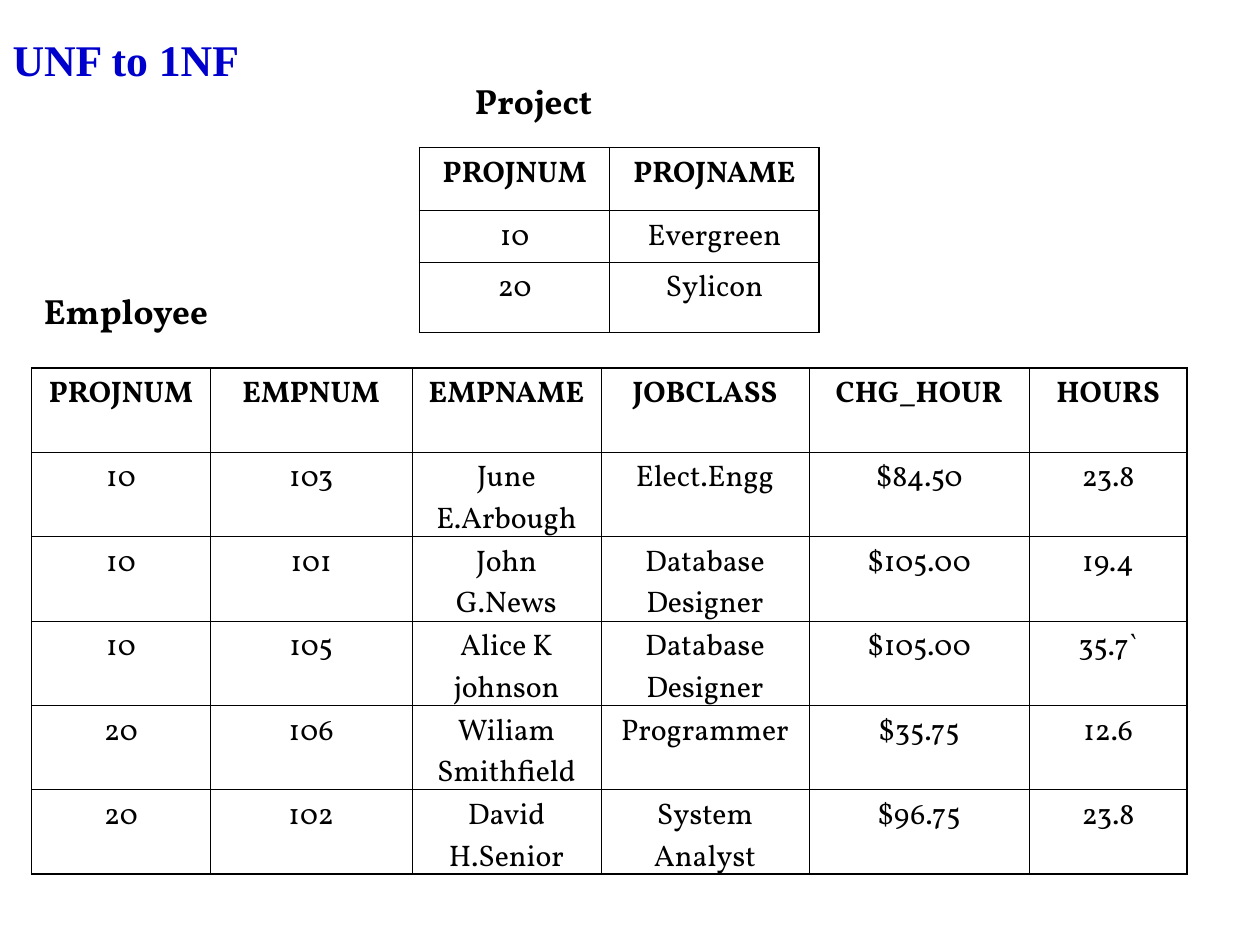
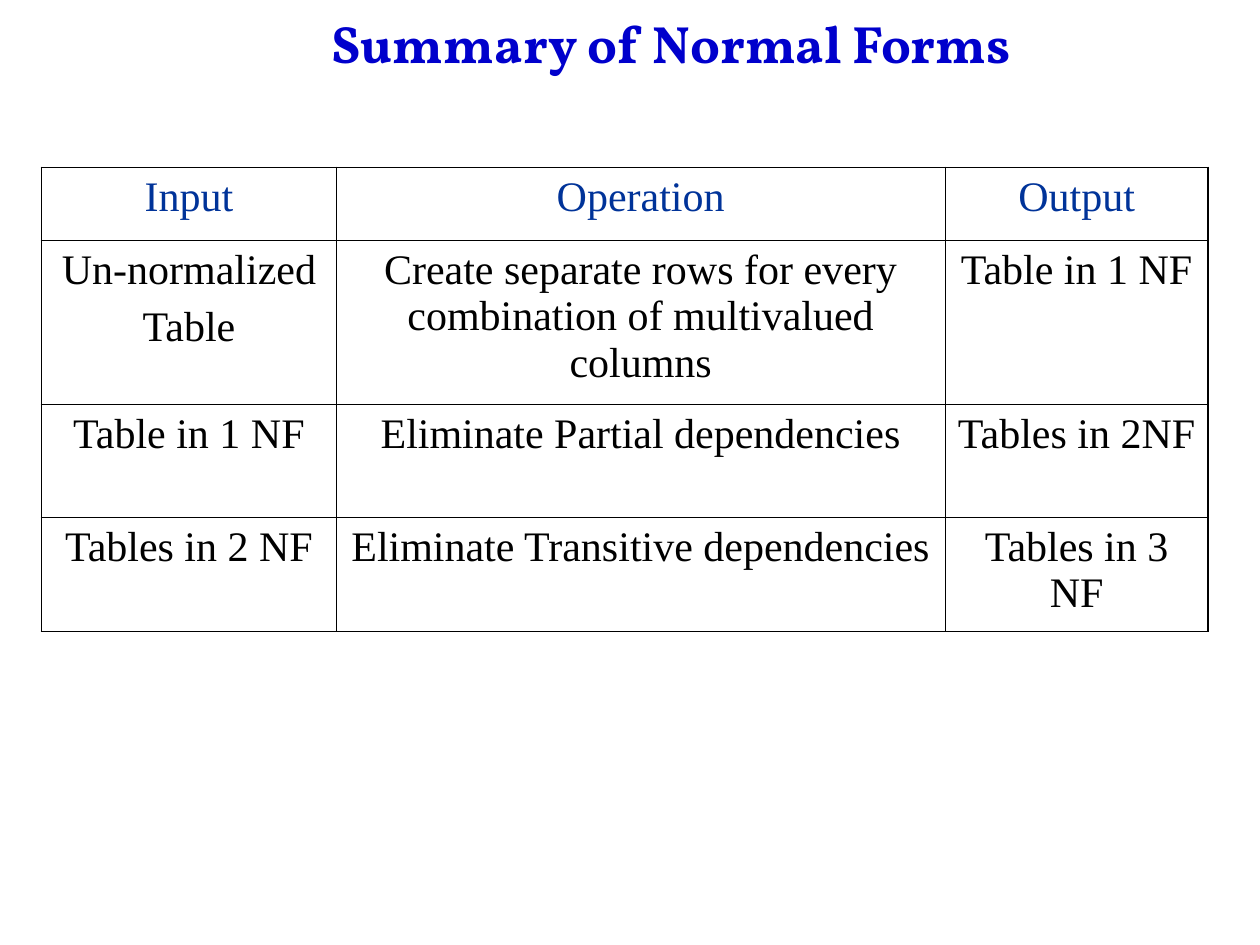
from dataclasses import dataclass

from lxml.etree import SubElement
from pptx import Presentation
from pptx.dml.color import RGBColor
from pptx.enum.text import MSO_ANCHOR, MSO_AUTO_SIZE, PP_ALIGN
from pptx.oxml.ns import qn
from pptx.util import Inches, Pt


@dataclass(frozen=True)
class Theme:
    title_color: RGBColor = RGBColor(0x00, 0x00, 0xCC)
    heading_color: RGBColor = RGBColor(0x00, 0x33, 0x99)
    ink: RGBColor = RGBColor(0x00, 0x00, 0x00)
    serif: str = "Times New Roman"
    display: str = "Vollkorn"
    unf_title_size: float = 25
    summary_title_size: float = 30
    label_size: float = 20
    data_size: float = 17
    summary_size: float = 24
    thin: float = 0.45
    thick: float = 1.08


THEME = Theme()

PROJECT_ROWS = [
    ("PROJNUM", "PROJNAME"),
    ("10", "Evergreen"),
    ("20", "Sylicon"),
]
EMPLOYEE_ROWS = [
    ("PROJNUM", "EMPNUM", "EMPNAME", "JOBCLASS", "CHG_HOUR", "HOURS"),
    ("10", "103", "June E.Arbough", "Elect.Engg", "$84.50", "23.8"),
    ("10", "101", "John G.News", "Database Designer", "$105.00", "19.4"),
    ("10", "105", "Alice K johnson", "Database Designer", "$105.00", "35.7`"),
    ("20", "106", "Wiliam Smithfield", "Programmer", "$35.75", "12.6"),
    ("20", "102", "David H.Senior", "System Analyst", "$96.75", "23.8"),
]
SUMMARY_ROWS = [
    ("Input", "Operation", "Output"),
    (
        "Un-normalized\nTable",
        "Create separate rows for every combination of multivalued columns",
        "Table in 1 NF",
    ),
    ("Table in 1 NF", "Eliminate Partial dependencies", "Tables in 2NF"),
    ("Tables in 2 NF", "Eliminate Transitive dependencies", "Tables in 3 NF"),
]

DATA_STYLE = dict(
    font=THEME.display, size=THEME.data_size, space=4.2, bottom_margin=-0.05,
    header_color=THEME.ink, header_bold=True,
)
SUMMARY_STYLE = dict(
    font=THEME.serif, size=THEME.summary_size, space=6, bottom_margin=0.05,
    header_color=THEME.heading_color, header_bold=False,
)


def style_font(para, name, size, color, bold):
    para.font.name = name
    para.font.size = Pt(size)
    para.font.color.rgb = color
    para.font.bold = bold


def add_titled_page(deck, title, area, font, size, align):
    page = deck.slides.add_slide(deck.slide_layouts[5])
    box = page.shapes.title
    box.left, box.top, box.width, box.height = map(Inches, area)
    frame = box.text_frame
    frame.text = title
    frame.auto_size = MSO_AUTO_SIZE.NONE
    frame.vertical_anchor = MSO_ANCHOR.BOTTOM
    para = frame.paragraphs[0]
    para.alignment = align
    style_font(para, font, size, THEME.title_color, True)
    return page


def add_label(page, text, left, top):
    box = page.shapes.add_textbox(*map(Inches, (left, top, 2, 0.44)))
    frame = box.text_frame
    frame.word_wrap = True
    frame.auto_size = MSO_AUTO_SIZE.SHAPE_TO_FIT_TEXT
    frame.text = text
    para = frame.paragraphs[0]
    para.space_before = Pt(12.5)
    style_font(para, THEME.display, THEME.label_size, THEME.ink, True)


def draw_borders(cell, thick_sides):
    properties = cell._tc.get_or_add_tcPr()
    for position, side in enumerate("LRTB"):
        width = THEME.thick if side in thick_sides else THEME.thin
        line = SubElement(properties, qn(f"a:ln{side}"), w=str(Pt(width)))
        fill = SubElement(line, qn("a:solidFill"))
        SubElement(fill, qn("a:srgbClr"), val=str(THEME.ink))
        properties.insert(position, line)


def add_grid(page, rows, left, top, widths, heights, thick_sides, style):
    area = map(Inches, (left, top, sum(widths), sum(heights)))
    table = page.shapes.add_table(len(rows), len(widths), *area).table
    table.first_row = table.horz_banding = False
    for column, width in zip(table.columns, widths):
        column.width = Inches(width)
    for row, height in zip(table.rows, heights):
        row.height = Inches(height)

    last_row, last_column = len(rows) - 1, len(widths) - 1
    for r, texts in enumerate(rows):
        for c, text in enumerate(texts):
            cell = table.cell(r, c)
            cell.text = text
            cell.margin_bottom = Inches(style["bottom_margin"])
            cell.fill.background()
            edges = {"L": c == 0, "R": c == last_column, "T": r == 0, "B": r == last_row}
            draw_borders(cell, [side for side in thick_sides if edges[side]])
            color = style["header_color"] if r == 0 else THEME.ink
            bold = style["header_bold"] and r == 0
            for para in cell.text_frame.paragraphs:
                para.alignment = PP_ALIGN.CENTER
                para.space_before = Pt(style["space"])
                style_font(para, style["font"], style["size"], color, bold)


def build_first_normal_form(deck):
    page = add_titled_page(
        deck, "UNF to 1NF", (0, 0.16, 8.93, 0.57),
        THEME.serif, THEME.unf_title_size, PP_ALIGN.LEFT,
    )
    add_grid(page, PROJECT_ROWS, 3.33, 1.17, [1.51, 1.66], [0.5, 0.41, 0.56],
             "LRTB", DATA_STYLE)
    add_grid(page, EMPLOYEE_ROWS, 0.25, 2.92, [1.42, 1.6, 1.5, 1.65, 1.75, 1.25],
             [0.67] * len(EMPLOYEE_ROWS), "RTB", DATA_STYLE)
    add_label(page, "Project", 3.67, 0.58)
    add_label(page, "Employee", 0.25, 2.25)


def build_summary(deck):
    page = add_titled_page(
        deck, "Summary of Normal Forms", (1.08, 0.01, 8.5, 0.63),
        THEME.display, THEME.summary_title_size, PP_ALIGN.CENTER,
    )
    add_grid(page, SUMMARY_ROWS, 0.33, 1.33, [2.34, 4.83, 2.09],
             [0.58, 1.3, 0.9, 0.9], "LRT", SUMMARY_STYLE)


def main():
    deck = Presentation()
    deck.slide_width, deck.slide_height = Inches(10), Inches(7.5)
    build_first_normal_form(deck)
    build_summary(deck)
    deck.save("out.pptx")


if __name__ == "__main__":
    main()
